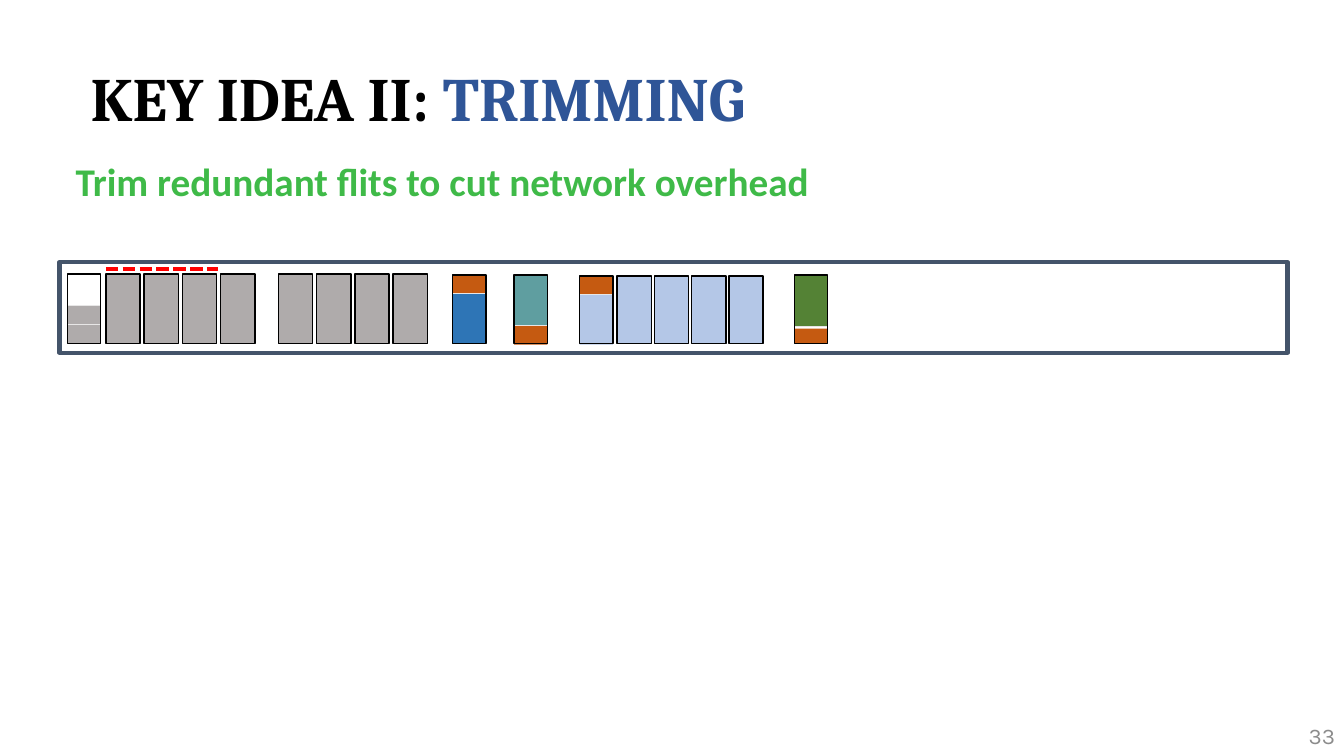
from lxml import etree
from pptx import Presentation
from pptx.dml.color import RGBColor
from pptx.enum.dml import MSO_LINE
from pptx.enum.shapes import MSO_CONNECTOR, MSO_SHAPE
from pptx.enum.text import MSO_ANCHOR, MSO_AUTO_SIZE, PP_ALIGN
from pptx.oxml.ns import qn
from pptx.util import Inches, Pt

color = RGBColor.from_string


def place(shape, x, y, w, h):
    shape.left, shape.top = Inches(x), Inches(y)
    shape.width, shape.height = Inches(w), Inches(h)
    frame = shape.text_frame
    frame.word_wrap = True
    frame.auto_size = MSO_AUTO_SIZE.NONE
    frame.vertical_anchor = MSO_ANCHOR.MIDDLE
    return frame


def block(x, y, w, h, fill=None, line=None, width=1):
    box = slide.shapes.add_shape(
        MSO_SHAPE.RECTANGLE, Inches(x), Inches(y), Inches(w), Inches(h))
    box.shadow.inherit = False
    if fill:
        box.fill.solid()
        box.fill.fore_color.rgb = color(fill)
    else:
        box.fill.background()
    if line:
        box.line.color.rgb = color(line)
        box.line.width = Pt(width)
    else:
        box.line.fill.background()


deck = Presentation()
deck.slide_width, deck.slide_height = Inches(13.33), Inches(7.5)
slide = deck.slides.add_slide(deck.slide_layouts[1])

title = place(slide.shapes.title, 0.8, 0.28, 11.5, 1.45).paragraphs[0]
title.alignment = PP_ALIGN.LEFT
title.line_spacing = 0.9
title.font.name = "Cambria"
title.font.size = Pt(44)
title.font.bold = True
for text, tint in [("KEY IDEA II: ", "000000"), ("TRIMMING", "2F5597")]:
    run = title.add_run()
    run.text = text
    run.font.color.rgb = color(tint)

frame = place(slide.placeholders[1], 0.65, 1.56, 12.06, 0.66)
frame.vertical_anchor = MSO_ANCHOR.TOP
claim = frame.paragraphs[0]
claim.text = "Trim redundant flits to cut network overhead"
props = claim._p.get_or_add_pPr()
props.set("marL", "0")
props.set("indent", "0")
etree.SubElement(props, qn("a:buNone"))
claim.line_spacing = 0.9
claim.space_before = Pt(0)
claim.font.name = "Calibri"
claim.font.size = Pt(28)
claim.font.bold = True
claim.font.color.rgb = color("3FBA48")

GREY, RUST, BLUE, PALE = "AFABAB", "C55A11", "B4C7E7", "E7E6E6"

block(0.59, 2.6, 12.18, 0.9, line="44546A", width=3)

for left, top, step, count, fill in [
    (1.05, 2.72, 0.38, 4, GREY),
    (2.76, 2.72, 0.38, 4, GREY),
    (6.12, 2.74, 0.37, 4, BLUE),
]:
    for i in range(count):
        block(left + i * step, top, 0.34, 3.41 - top, fill, "000000")

for left, top, parts in [
    (0.67, 2.72, [(3.22, 0.19, GREY, None), (3.03, 0.19, GREY, PALE)]),
    (4.49, 2.73, [(2.91, 0.5, "2E75B6", None), (2.73, 0.18, RUST, PALE)]),
    (5.1, 2.73, [(3.23, 0.19, RUST, None), (2.73, 0.5, "5F9EA0", PALE)]),
    (5.75, 2.74, [(2.92, 0.5, BLUE, None), (2.74, 0.18, RUST, PALE)]),
    (7.88, 2.73, [(3.26, 0.15, RUST, None), (2.73, 0.51, "548235", PALE)]),
]:
    for y, high, fill, line in parts:
        block(left, y, 0.33, high, fill, line)
    block(left, top, 0.33, 3.41 - top, line="000000")

dash = slide.shapes.add_connector(
    MSO_CONNECTOR.STRAIGHT, Inches(1.05), Inches(2.67), Inches(2.16), Inches(2.67))
dash.line.color.rgb = color("FF0000")
dash.line.width = Pt(3)
dash.line.dash_style = MSO_LINE.SQUARE_DOT
etree.SubElement(dash._element.spPr, qn("a:effectLst"))

number = slide.shapes.add_textbox(0, 0, 0, 0)
page = place(number, 10.34, 7.1, 3, 0.4).paragraphs[0]
page.text = "33"
page.alignment = PP_ALIGN.RIGHT
page.font.name = "Karla"
page.font.size = Pt(16)
page.font.color.rgb = color("8C8C8C")

deck.save("out.pptx")
